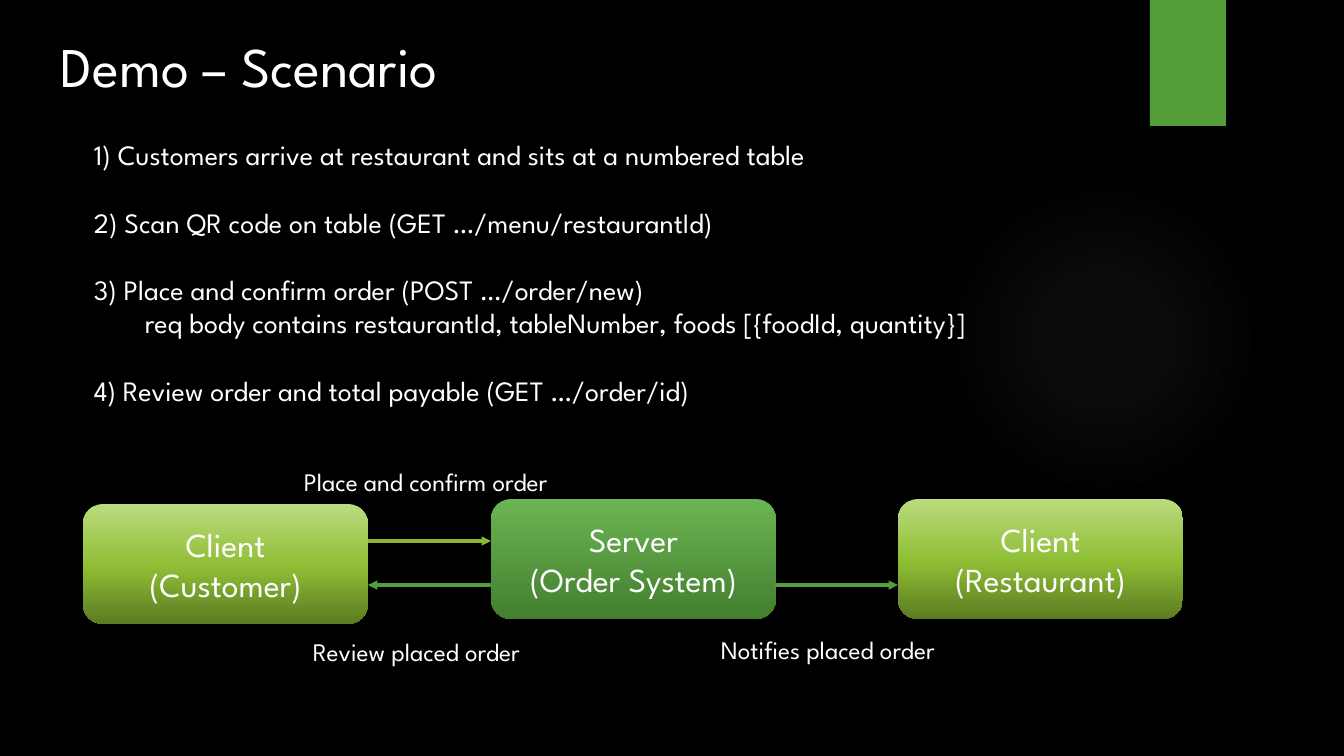
from lxml import etree
from pptx import Presentation
from pptx.dml.color import RGBColor
from pptx.enum.shapes import MSO_CONNECTOR as Connector, MSO_SHAPE as Shape
from pptx.enum.text import MSO_ANCHOR as Anchor, PP_ALIGN as Align
from pptx.oxml import parse_xml
from pptx.oxml.ns import qn
from pptx.util import Pt

FONT = "League Spartan"
BLACK = RGBColor(0x00, 0x00, 0x00)
WHITE = RGBColor(0xFF, 0xFF, 0xFF)
GREEN = RGBColor(0x54, 0x9E, 0x39)
LIME = RGBColor(0x8A, 0xB8, 0x33)
MIST = RGBColor(0x87, 0xA8, 0x96)

# Gradient stops: position %, colour, opacity %
CLIENT_STOPS = [(0, RGBColor(0xBB, 0xDB, 0x7E), 100),
                (52, RGBColor(0x8F, 0xBE, 0x35), 100),
                (100, RGBColor(0x5C, 0x7B, 0x22), 100)]
SERVER_STOPS = [(0, RGBColor(0x6B, 0xB4, 0x53), 100),
                (100, RGBColor(0x43, 0x7F, 0x2E), 100)]
GLOW_STOPS = [(0, MIST, 7), (36, MIST, 6), (69, MIST, 0)]
DOWNWARD = '<a:lin ang="5400000" scaled="0"/>'
OUTWARD = ('<a:path path="circle"><a:fillToRect l="50000" t="50000" '
           'r="50000" b="50000"/></a:path>')

# Content: text, space before in pt, left indent in px
STEPS = [
    ("1) Customers arrive at restaurant and sits at a numbered table", 0, 0),
    ("2) Scan QR code on table (GET …/menu/restaurantId)", 24, 0),
    ("3) Place and confirm order (POST …/order/new)", 24, 0),
    ("req body contains restaurantId, tableNumber, foods [{foodId, quantity}]", 0, 51),
    ("4) Review order and total payable (GET …/order/id)", 24, 0),
]
# Text, left, top, width, height, size in pt
LABELS = [
    ("Demo – Scenario", 51, 27, 505, 78, 40),
    ("Place and confirm order", 294, 461, 322, 40, 18),
    ("Review placed order", 303, 631, 280, 40, 18),
    ("Notifies placed order", 711, 629, 279, 40, 18),
]
# Lines, left, top, gradient
NODE_SIZE = (285, 120)
NODES = [
    (("Client", "(Customer)"), 83, 504, CLIENT_STOPS),
    (("Server", "(Order System)"), 491, 499, SERVER_STOPS),
    (("Client", "(Restaurant)"), 898, 499, CLIENT_STOPS),
]
# Start x, end x, y, colour
ARROWS = [(368, 491, 541, LIME), (491, 368, 585, GREEN), (775, 898, 585, GREEN)]


def px(*lengths):
    return [round(length * 914400 / 100.8) for length in lengths]


def add_line(para, text, size):
    span = para.add_run()
    span.text = text
    span.font.name = FONT
    span.font.size = Pt(size)
    span.font.color.rgb = WHITE


def next_para(frame, index):
    return frame.add_paragraph() if index else frame.paragraphs[0]


def add_plain_shape(kind, *place):
    shape = page.shapes.add_shape(kind, *px(*place))
    shape.shadow.inherit = False
    shape.line.fill.background()
    return shape


def fill_gradient(shape, stops, direction):
    shape.fill.background()
    parts = "".join(
        f'<a:gs pos="{position * 1000}"><a:srgbClr val="{colour}">'
        f'<a:alpha val="{opacity * 1000}"/></a:srgbClr></a:gs>'
        for position, colour, opacity in stops)
    gradient = parse_xml(
        '<a:gradFill xmlns:a="http://schemas.openxmlformats.org/drawingml/2006/main" '
        f'rotWithShape="1"><a:gsLst>{parts}</a:gsLst>{direction}</a:gradFill>')
    properties = shape._element.spPr
    properties.replace(properties.find(qn("a:noFill")), gradient)


deck = Presentation()
deck.slide_width, deck.slide_height = px(1344, 756)
page = deck.slides.add_slide(deck.slide_layouts[6])
page.background.fill.solid()
page.background.fill.fore_color.rgb = BLACK

# Backdrop glow and corner tab
glow = add_plain_shape(Shape.OVAL, 949, 184, 310, 310)
fill_gradient(glow, GLOW_STOPS, OUTWARD)
tab = add_plain_shape(Shape.RECTANGLE, 1150, 0, 76, 126)
tab.fill.solid()
tab.fill.fore_color.rgb = GREEN

# Scenario steps
box = page.shapes.add_textbox(*px(84, 133, 1255, 285))
box.text_frame.word_wrap = True
for index, (text, gap, indent) in enumerate(STEPS):
    para = next_para(box.text_frame, index)
    para.space_before = Pt(gap)
    para._p.get_or_add_pPr().set("marL", str(px(indent)[0]))
    add_line(para, text, 20)

# Client and server nodes
for lines, left, top, stops in NODES:
    node = add_plain_shape(Shape.ROUNDED_RECTANGLE, left, top, *NODE_SIZE)
    fill_gradient(node, stops, DOWNWARD)
    node.text_frame.vertical_anchor = Anchor.MIDDLE
    for index, text in enumerate(lines):
        para = next_para(node.text_frame, index)
        para.alignment = Align.CENTER
        add_line(para, text, 24)

# Arrows between nodes
for start, end, y, colour in ARROWS:
    arrow = page.shapes.add_connector(Connector.STRAIGHT, *px(start, y, end, y))
    arrow.line.color.rgb = colour
    arrow.line.width = Pt(2.25)
    etree.SubElement(arrow.line._get_or_add_ln(), qn("a:tailEnd"), type="triangle")
    etree.SubElement(arrow._element.spPr, qn("a:effectLst"))

# Title and arrow labels
for text, left, top, width, height, size in LABELS:
    box = page.shapes.add_textbox(*px(left, top, width, height))
    box.text_frame.word_wrap = True
    add_line(box.text_frame.paragraphs[0], text, size)

deck.save("out.pptx")
